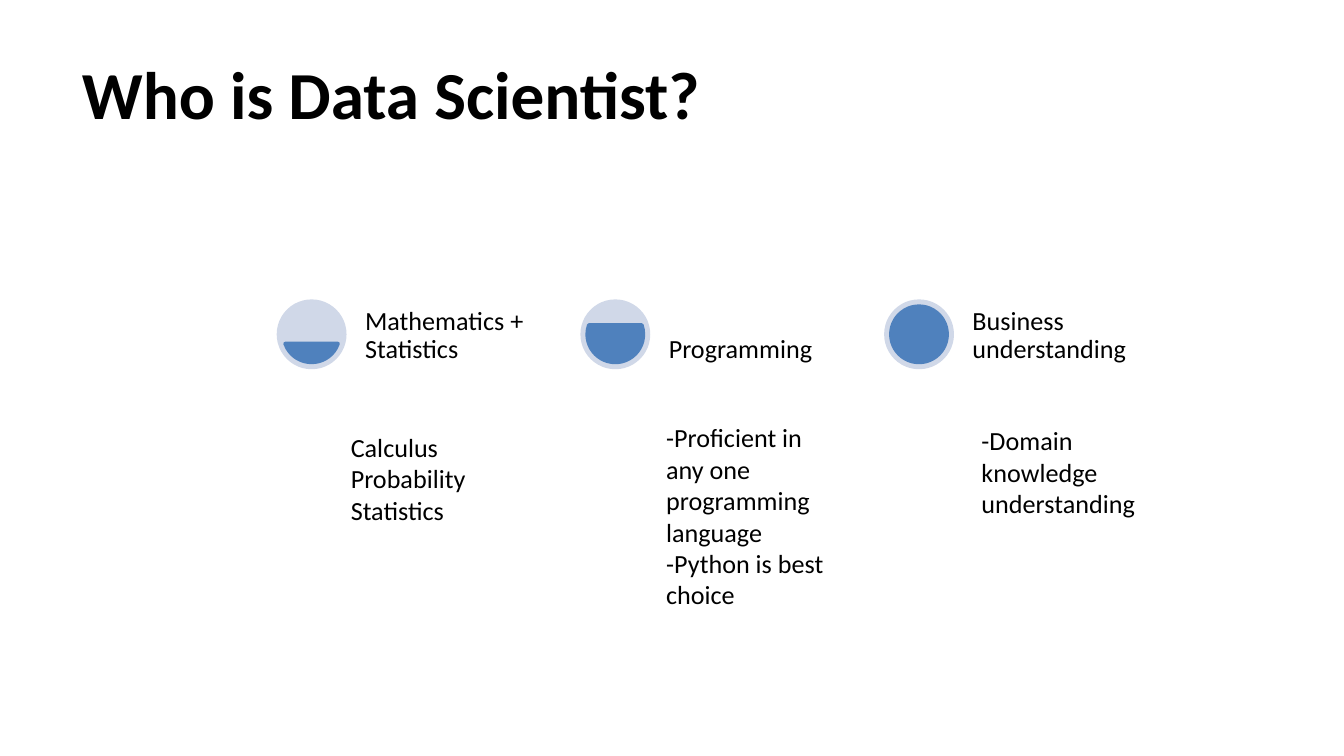
from pptx import Presentation
from pptx.dml.color import RGBColor
from pptx.enum.shapes import MSO_SHAPE as Preset
from pptx.enum.text import MSO_ANCHOR as Anchor, MSO_AUTO_SIZE as AutoSize, PP_ALIGN as Align
from pptx.util import Cm, Pt

TITLE_ONLY = 5
BODY_FORMAT = {"name": "Calibri", "size": Pt(14)}
TITLE_FORMAT = {"name": "Calibri", "size": Pt(36), "bold": True}
FRAME_SIDES = ("margin_left", "margin_top", "margin_right", "margin_bottom")

SKILLS = [
    ("Mathematics + Statistics", (11.68, 96.32)),
    ("Programming", (204.32, 119.68)),
    ("Business understanding", (162, 162)),
]
NOTES = [
    (8.03, 2.06, ["Calculus", "Probability", "Statistics"]),
    (7.85, 3.84, ["-Proficient in any one programming language", "-Python is best choice"]),
    (7.9, 2.06, ["-Domain knowledge understanding"]),
]


def color(hex_string):
    return RGBColor.from_string(hex_string)


def set_attributes(target, values):
    for name, value in values.items():
        setattr(target, name, value)


def write_lines(frame, lines, font_format, paragraph_format):
    for index, line in enumerate(lines):
        paragraph = frame.paragraphs[0] if index == 0 else frame.add_paragraph()
        set_attributes(paragraph, paragraph_format)
        run = paragraph.add_run()
        run.text = line
        set_attributes(run.font, font_format)
        run.font.color.rgb = color("000000")


def place_title(slide, box, text):
    title = slide.shapes.title
    set_attributes(title, dict(zip(("left", "top", "width", "height"), map(Cm, box))))
    title.text_frame.vertical_anchor = Anchor.MIDDLE
    write_lines(title.text_frame, [text], TITLE_FORMAT, {"alignment": Align.CENTER})


def add_filled_shape(slide, preset, box, fill):
    shape = slide.shapes.add_shape(preset, *map(Cm, box))
    shape.shadow.inherit = False
    shape.fill.solid()
    shape.fill.fore_color.rgb = color(fill)
    shape.line.fill.background()
    return shape


def add_text(slide, box, lines, frame_format, paragraph_format):
    frame = slide.shapes.add_textbox(*map(Cm, box)).text_frame
    set_attributes(frame, {"word_wrap": True, **frame_format})
    write_lines(frame, lines, BODY_FORMAT, paragraph_format)


def add_skill(slide, box, label, level_angles):
    left, top, width, height = box
    inset, label_offset = 0.13, 1.57
    add_filled_shape(slide, Preset.OVAL, (left, top, height, height), "D0D8E8")

    level_size = height - 2 * inset
    level = add_filled_shape(
        slide, Preset.CHORD, (left + inset, top + inset, level_size, level_size), "4F81BD"
    )
    level.adjustments[0], level.adjustments[1] = level_angles
    level.line.color.rgb = color("4F81BD")
    level.line.width = Pt(2)

    frame_format = {side: Cm(0.1) for side in FRAME_SIDES}
    frame_format["vertical_anchor"] = Anchor.BOTTOM
    label_box = (left + label_offset, top, width - label_offset, height)
    add_text(slide, label_box, [label], frame_format, {"line_spacing": 0.9})


def add_note(slide, box, lines):
    add_text(slide, box, lines, {"auto_size": AutoSize.SHAPE_TO_FIT_TEXT}, {})


def main():
    presentation = Presentation()
    presentation.slide_width, presentation.slide_height = Cm(25.4), Cm(14.29)
    slide = presentation.slides.add_slide(presentation.slide_layouts[TITLE_ONLY])

    place_title(slide, (1.09, 0.56, 12.6, 2.39), "Who is Data Scientist?")
    for column, (label, level_angles) in enumerate(SKILLS):
        add_skill(slide, (5.23 + 5.74 * column, 5.66, 5.46, 1.32), label, level_angles)
    for column, (top, height, lines) in enumerate(NOTES):
        add_note(slide, (6.38 + 5.96 * column, top, 3.53, height), lines)

    presentation.save("out.pptx")


if __name__ == "__main__":
    main()
